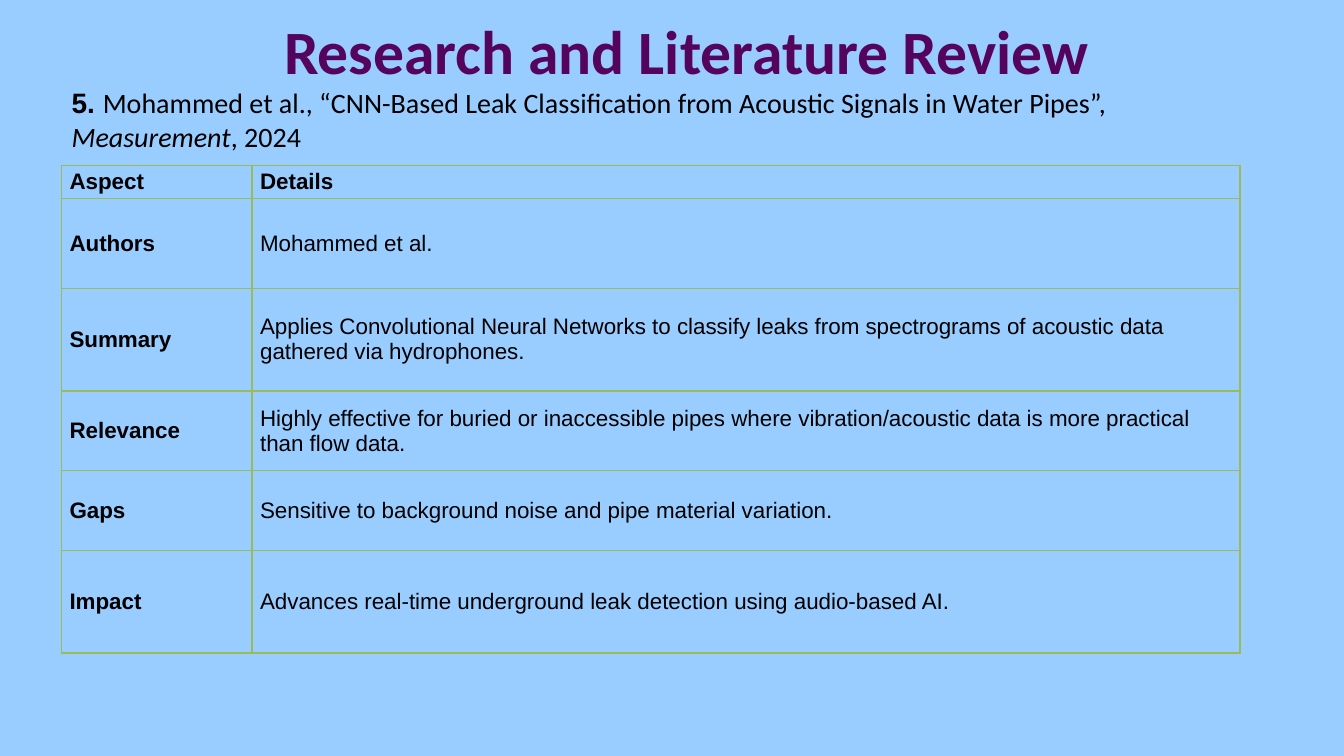
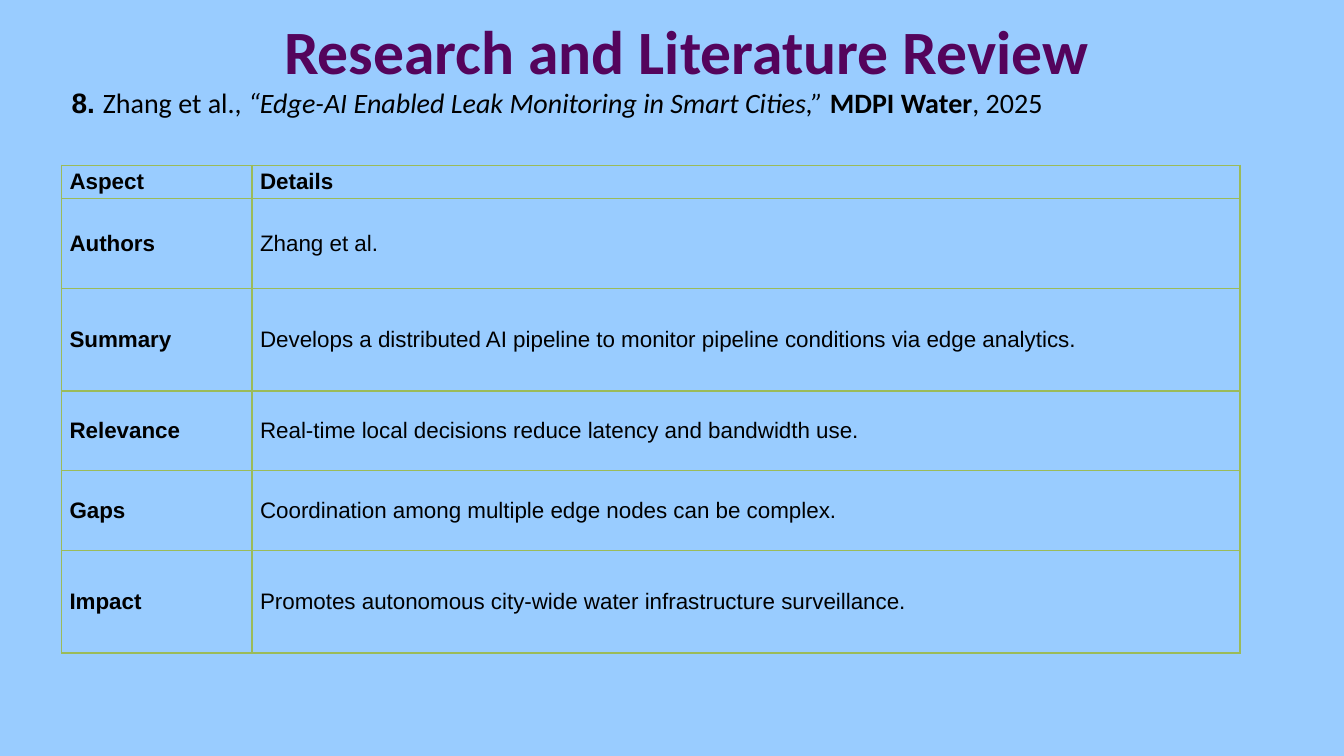
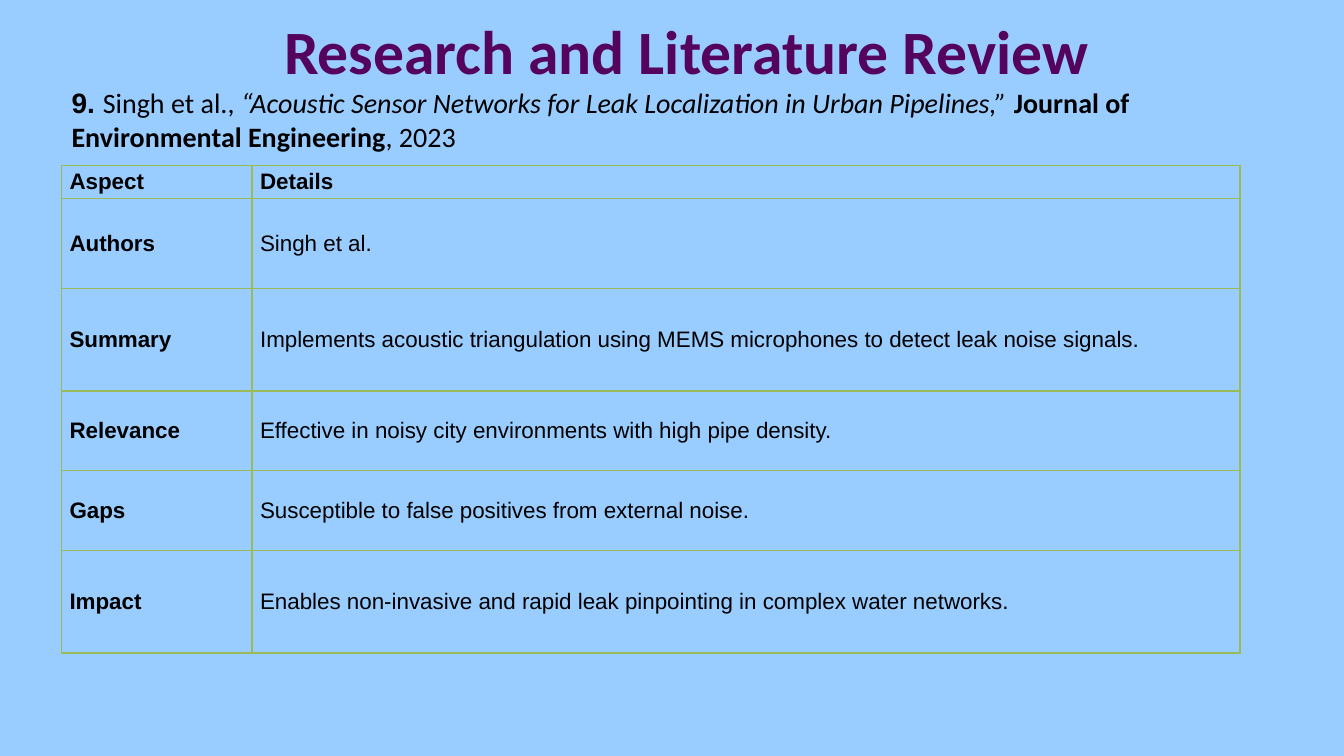
from lxml.etree import SubElement
from pptx import Presentation
from pptx.dml.color import RGBColor
from pptx.enum.text import MSO_ANCHOR, MSO_AUTO_SIZE, PP_ALIGN
from pptx.oxml.ns import qn
from pptx.util import Inches, Pt

SKY = RGBColor(0x99, 0xCC, 0xFF)
PLUM = RGBColor(0x54, 0x04, 0x5C)
BLACK = RGBColor(0, 0, 0)
OLIVE = RGBColor(0x9B, 0xBB, 0x59)

# Boxes: left, top, width, height
TITLE_BOX = (0.88, -0.13, 12, 1.25)
CITATION_BOX = (0.61, 0.8, 12, 4.95)
TABLE_BOX = (0.61, 1.64, 11.69, 4.84)
ASPECT_WIDTH = 1.89
ROW_HEIGHTS = (0.33, 0.89, 1.02, 0.79, 0.79, 1.02)
ASPECTS = ("Aspect", "Authors", "Summary", "Relevance", "Gaps", "Impact")

# Each paper: number, citation runs (text, style), details for the table
PAPERS = [
    ("5. ",
     [("Mohammed et al., “CNN-Based Leak Classification from Acoustic Signals "
       "in Water Pipes”, ", ""),
      ("Measurement", "italic"), (", 2024", "")],
     ["Mohammed et al.",
      "Applies Convolutional Neural Networks to classify leaks from "
      "spectrograms of acoustic data gathered via hydrophones.",
      "Highly effective for buried or inaccessible pipes where "
      "vibration/acoustic data is more practical than flow data.",
      "Sensitive to background noise and pipe material variation.",
      "Advances real-time underground leak detection using audio-based AI."]),
    ("8. ",
     [("Zhang et al., ", ""),
      ("“Edge-AI Enabled Leak Monitoring in Smart Cities,” ", "italic"),
      ("MDPI Water", "bold"), (", 2025", "")],
     ["Zhang et al.",
      "Develops a distributed AI pipeline to monitor pipeline conditions "
      "via edge analytics.",
      "Real-time local decisions reduce latency and bandwidth use.",
      "Coordination among multiple edge nodes can be complex.",
      "Promotes autonomous city-wide water infrastructure surveillance."]),
    ("9. ",
     [("Singh et al., ", ""),
      ("“Acoustic Sensor Networks for Leak Localization in Urban Pipelines,” ",
       "italic"),
      ("Journal of Environmental Engineering", "bold"), (", 2023", "")],
     ["Singh et al.",
      "Implements acoustic triangulation using MEMS microphones to detect "
      "leak noise signals.",
      "Effective in noisy city environments with high pipe density.",
      "Susceptible to false positives from external noise.",
      "Enables non-invasive and rapid leak pinpointing in complex water "
      "networks."]),
]


def add_span(para, text, size, font="Calibri", color=BLACK, style=""):
    span = para.add_run()
    span.text = text
    span.font.name = font
    span.font.size = Pt(size)
    span.font.color.rgb = color
    span.font.bold = style == "bold"
    span.font.italic = style == "italic"


def place(holder, box, anchor):
    """Move a placeholder and return its first paragraph."""
    holder.left, holder.top, holder.width, holder.height = map(Inches, box)
    frame = holder.text_frame
    frame.word_wrap = True
    frame.auto_size = MSO_AUTO_SIZE.NONE
    frame.vertical_anchor = anchor
    return frame.paragraphs[0]


def add_title(page, box):
    para = place(page.shapes.title, box, MSO_ANCHOR.MIDDLE)
    para.alignment = PP_ALIGN.CENTER
    add_span(para, "Research and Literature Review ", 44, color=PLUM,
             style="bold")


def add_citation(page, box, number, citation):
    para = place(page.placeholders[1], box, MSO_ANCHOR.TOP)
    # Plain paragraph: no bullet and no hanging indent
    properties = para._p.get_or_add_pPr()
    properties.set("marL", "0")
    properties.set("indent", "0")
    SubElement(properties, qn("a:buNone"))
    para.space_before = Pt(0)
    add_span(para, number, 20, font="Arial", style="bold")
    for text, style in citation:
        add_span(para, text, 20, style=style)


def add_borders(cell):
    properties = cell._tc.get_or_add_tcPr()
    for side in ("a:lnL", "a:lnR", "a:lnT", "a:lnB"):
        line = SubElement(properties, qn(side), w=str(Pt(1)))
        fill = SubElement(line, qn("a:solidFill"))
        SubElement(fill, qn("a:srgbClr"), val=str(OLIVE))


def fill_cell(cell, text, style):
    add_borders(cell)
    cell.fill.background()
    cell.vertical_anchor = MSO_ANCHOR.MIDDLE
    cell.margin_left = cell.margin_right = Inches(0.08)
    cell.margin_top = cell.margin_bottom = Inches(0.04)
    add_span(cell.text_frame.paragraphs[0], text, 16, font="Arial",
             style=style)


def add_review_table(page, box, details):
    table = page.shapes.add_table(len(ASPECTS), 2, *map(Inches, box)).table
    table.first_row = table.horz_banding = False
    table.columns[0].width = Inches(ASPECT_WIDTH)
    table.columns[1].width = Inches(box[2] - ASPECT_WIDTH)
    for index, (aspect, detail) in enumerate(
            zip(ASPECTS, ["Details"] + details)):
        table.rows[index].height = Inches(ROW_HEIGHTS[index])
        fill_cell(table.cell(index, 0), aspect, "bold")
        fill_cell(table.cell(index, 1), detail, "" if index else "bold")


def add_review_page(deck, number, citation, details):
    page = deck.slides.add_slide(deck.slide_layouts[1])
    add_title(page, TITLE_BOX)
    add_citation(page, CITATION_BOX, number, citation)
    add_review_table(page, TABLE_BOX, details)


def main():
    deck = Presentation()
    deck.slide_width, deck.slide_height = Inches(13.33), Inches(7.5)
    # Shared background
    background = deck.slide_master.background.fill
    background.solid()
    background.fore_color.rgb = SKY
    for paper in PAPERS:
        add_review_page(deck, *paper)
    deck.save("out.pptx")


if __name__ == "__main__":
    main()
